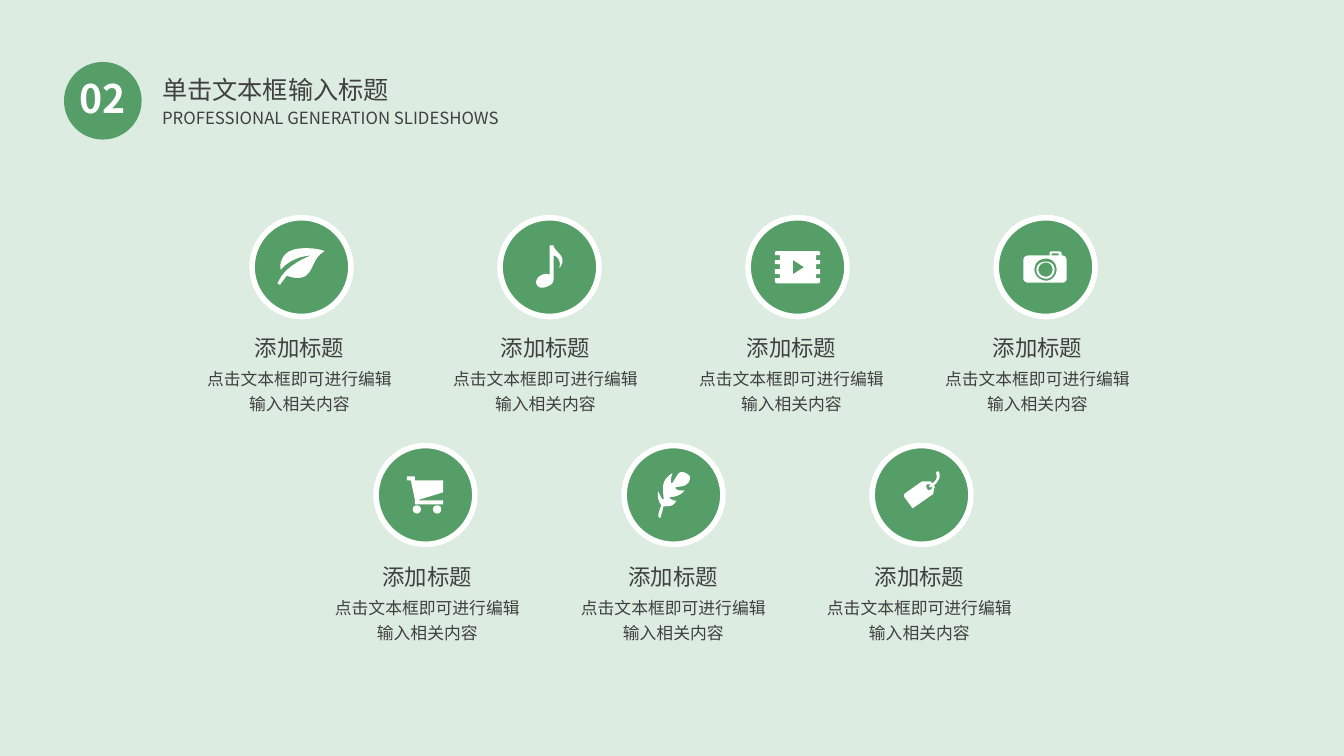
from dataclasses import dataclass
from typing import Iterator

from pptx import Presentation
from pptx.dml.color import RGBColor
from pptx.enum.shapes import MSO_SHAPE
from pptx.enum.text import MSO_AUTO_SIZE, PP_ALIGN
from pptx.oxml.ns import qn
from pptx.slide import Slide
from pptx.util import Inches, Pt


@dataclass(frozen=True)
class Theme:
    background: RGBColor = RGBColor.from_string("DCECE0")
    green: RGBColor = RGBColor.from_string("559E67")
    white: RGBColor = RGBColor.from_string("FFFFFF")
    ink: RGBColor = RGBColor.from_string("404040")
    font: str = "Noto Sans CJK SC"
    number_size: int = 28
    heading_size: int = 18
    caption_size: int = 16
    body_size: int = 12
    ring_width: int = 4


@dataclass(frozen=True)
class Grid:
    left: float
    top: float
    column_step: float
    row_step: float

    def locate(self, column: float, row: int) -> tuple[float, float]:
        return self.left + column * self.column_step, self.top + row * self.row_step


@dataclass(frozen=True)
class Box:
    left: float
    top: float
    width: float
    height: float


@dataclass(frozen=True)
class TextStyle:
    size: int
    color: RGBColor = Theme.ink
    bold: bool = False
    alignment: PP_ALIGN = PP_ALIGN.LEFT
    line_spacing: float | None = None
    wrap: bool = True


@dataclass(frozen=True)
class Icon:
    width: float
    height: float
    outline: str
    lift: float = 0


@dataclass(frozen=True)
class Item:
    column: float
    row: int
    icon: Icon


THEME = Theme()
BADGES = Grid(2.99, 2.65, 2.46, 2.26)
CAPTIONS = Grid(2.97, 3.27, 2.44, 2.27)
BADGE_DIAMETER = 0.98
CURVE_STEPS = 8
CAPTION_STYLE = TextStyle(THEME.caption_size, alignment=PP_ALIGN.CENTER)
BODY_STYLE = TextStyle(THEME.body_size, alignment=PP_ALIGN.CENTER, line_spacing=1.25)

LEAF = Icon(0.47, 0.37, """
    M 11 3 C 2 9 2 18 3 21 C 15 7 33 7 33 7 C 33 7 7 16 0 34 C -1 35 3 37 3 35
    C 6 31 9 27 9 27 C 14 29 22 31 28 27 C 36 21 35 9 46 3 C 49 2 24 -4 11 3""")
NOTE = Icon(0.26, 0.43, """
    M 17 0 L 13 0 L 13 29 C 11 28 9 28 6 29 C 1 31 -1 35 0 38 C 1 42 6 43 10 41
    C 14 40 17 37 17 34 L 17 10 C 23 11 24 19 23 21 C 22 22 23 22 24 21
    C 31 10 17 6 17 0""")
FILM = Icon(0.45, 0.32, """
    M 18 23 L 18 9 L 29 16
    M 45 4 L 45 2 C 45 1 44 0 43 0 L 2 0 C 1 0 0 1 0 2 L 0 4 L 5 4 L 5 9 L 0 9
    L 0 13 L 5 13 L 5 18 L 0 18 L 0 23 L 5 23 L 5 27 L 0 27 L 0 30
    C 0 31 1 32 2 32 L 43 32 C 44 32 45 31 45 30 L 45 27 L 41 27 L 41 23 L 45 23
    L 45 18 L 41 18 L 41 13 L 45 13 L 45 9 L 41 9 L 41 4""")
CAMERA = Icon(0.44, 0.31, """
    M 5 4 L 26 4 L 26 2 C 26 1 26 0 27 0 L 36 0 C 37 0 38 1 38 2 L 38 4 L 39 4
    C 41 4 43 6 43 9 L 43 27 C 43 29 41 31 39 31 L 5 31 C 2 31 0 29 0 27 L 0 9
    C 0 6 2 4 5 4
    M 28 4 L 35 4 L 35 2 L 28 2
    M 23 7 C 16 7 11 11 11 18 C 11 24 16 29 23 29 C 28 29 33 24 33 18
    C 33 11 28 7 23 7
    M 29 18 C 29 14 26 11 23 11 C 18 11 15 14 15 18 C 15 22 18 25 23 25
    C 26 25 29 22 29 18
    M 23 10 C 17 10 13 13 13 18 C 13 23 17 27 23 27 C 27 27 31 23 31 18
    C 31 13 27 10 23 10""")
CART = Icon(0.37, 0.37, """
    M 13 23 L 36 16 L 36 4 L 8 4 L 8 1 C 8 0 7 0 7 0 L 0 0 L 0 4 L 4 4 L 8 23
    L 8 28 L 36 28 L 36 24 L 13 24 C 11 24 11 24 13 23
    M 26 33 C 26 35 28 37 30 37 C 33 37 34 35 34 33 C 34 30 33 29 30 29
    C 28 29 26 30 26 33
    M 6 33 C 6 35 8 37 10 37 C 12 37 14 35 14 33 C 14 30 12 29 10 29
    C 8 29 6 30 6 33""")
FEATHER = Icon(0.32, 0.45, """
    M 3 45 C 4 42 5 39 6 34 C 13 33 15 35 19 28 C 16 29 12 26 12 25
    C 12 24 21 26 27 18 C 20 19 17 16 18 15 C 20 14 27 15 30 11 C 32 10 33 5 32 4
    C 31 2 26 -1 23 0 C 20 0 16 11 14 11 C 13 11 13 6 15 1 C 13 2 8 6 7 9
    C 4 14 7 27 6 27 C 5 28 2 22 1 19 C 0 23 0 27 4 33 C 2 37 1 41 1 43
    C 1 45 3 46 3 45""")
TAG = Icon(0.35, 0.37, """
    M 27 18 C 25 19 23 19 23 17 C 22 16 22 14 23 13 C 24 13 26 13 27 13
    C 26 14 26 14 26 14 C 25 14 25 15 25 15 C 25 16 26 16 26 16 L 27 16
    C 27 16 27 15 28 15 C 28 16 28 17 27 18
    M 35 1 C 34 0 34 0 33 0 C 33 0 32 1 32 2 C 34 7 31 10 28 12 L 27 11
    C 27 10 26 10 26 10 L 18 10 L 1 22 C 0 23 0 24 0 25 L 8 36 C 9 37 9 37 10 36
    L 27 24 C 28 24 28 23 29 23 L 30 17 C 31 16 31 15 30 15 L 30 14
    C 33 11 37 7 35 1""", lift=0.05)

ITEMS = [Item(column, 0, icon) for column, icon in enumerate((LEAF, NOTE, FILM, CAMERA))]
ITEMS += [Item(column + 0.5, 1, icon) for column, icon in enumerate((CART, FEATHER, TAG))]


def contours(outline: str) -> Iterator[list[tuple[int, int]]]:
    for contour in outline.split("M")[1:]:
        points: list[tuple[float, float]] = []
        for segment in contour.replace("L", "|L").replace("C", "|C").split("|"):
            values = [float(value) for value in segment.strip("LC \n").split()]
            pairs = list(zip(values[::2], values[1::2]))
            if segment.startswith("C"):
                start, (first, second, end) = points[-1], pairs
                for step in range(1, CURVE_STEPS + 1):
                    t = step / CURVE_STEPS
                    points.append(tuple(
                        (1 - t) ** 3 * a + 3 * (1 - t) ** 2 * t * b + 3 * (1 - t) * t**2 * c + t**3 * d
                        for a, b, c, d in zip(start, first, second, end)))
            else:
                points += pairs
        yield [(Inches(x / 100), Inches(y / 100)) for x, y in points]


def add_icon(slide: Slide, icon: Icon, center_x: float, center_y: float) -> None:
    first, *others = contours(icon.outline)
    builder = slide.shapes.build_freeform(*first[0])
    builder.add_line_segments(first[1:], close=True)
    for contour in others:
        builder.move_to(*contour[0])
        builder.add_line_segments(contour[1:], close=True)
    shape = builder.convert_to_shape(
        Inches(center_x - icon.width / 2), Inches(center_y - icon.height / 2 - icon.lift))
    shape.shadow.inherit = False
    shape.fill.solid()
    shape.fill.fore_color.rgb = THEME.white
    shape.line.fill.background()


def add_circle(slide: Slide, center_x: float, center_y: float, diameter: float, ringed: bool) -> None:
    shape = slide.shapes.add_shape(
        MSO_SHAPE.OVAL, Inches(center_x - diameter / 2), Inches(center_y - diameter / 2),
        Inches(diameter), Inches(diameter))
    shape.shadow.inherit = False
    shape.fill.solid()
    shape.fill.fore_color.rgb = THEME.green
    if ringed:
        shape.line.color.rgb = THEME.white
        shape.line.width = Pt(THEME.ring_width)
    else:
        shape.line.fill.background()


def add_text(slide: Slide, box: Box, text: str, style: TextStyle) -> None:
    shape = slide.shapes.add_textbox(
        Inches(box.left), Inches(box.top), Inches(box.width), Inches(box.height))
    frame = shape.text_frame
    frame.word_wrap = style.wrap
    frame.auto_size = MSO_AUTO_SIZE.SHAPE_TO_FIT_TEXT
    paragraph = frame.paragraphs[0]
    paragraph.alignment = style.alignment
    if style.line_spacing:
        paragraph.line_spacing = style.line_spacing
    run = paragraph.add_run()
    run.text = text
    run.font.name = THEME.font
    run.font.size = Pt(style.size)
    run.font.bold = style.bold
    run.font.color.rgb = style.color
    east_asian = run.font._element.makeelement(qn("a:ea"), {"typeface": THEME.font})
    run.font._element.find(qn("a:latin")).addnext(east_asian)


def add_header(slide: Slide) -> None:
    add_circle(slide, 1.02, 1, 0.77, ringed=False)
    add_text(slide, Box(0.66, 0.69, 0.72, 0.57), "02",
             TextStyle(THEME.number_size, THEME.white, bold=True, alignment=PP_ALIGN.CENTER))
    add_text(slide, Box(1.51, 0.54, 2.47, 0.56), "单击文本框输入标题",
             TextStyle(THEME.heading_size, line_spacing=1.5, wrap=False))
    add_text(slide, Box(1.51, 1.02, 4.64, 0.3), "PROFESSIONAL GENERATION SLIDESHOWS",
             TextStyle(THEME.body_size))


def add_item(slide: Slide, item: Item) -> None:
    center = BADGES.locate(item.column, item.row)
    add_circle(slide, *center, BADGE_DIAMETER, ringed=True)
    add_icon(slide, item.icon, *center)
    middle, top = CAPTIONS.locate(item.column + 0.02 * item.row, item.row)
    add_text(slide, Box(middle - 1.02, top + 0.29, 2.04, 0.61), "点击文本框即可进行编辑输入相关内容", BODY_STYLE)
    add_text(slide, Box(middle - 1.22, top, 2.44, 0.37), "添加标题", CAPTION_STYLE)


def main() -> None:
    presentation = Presentation()
    presentation.slide_width = Inches(13.33)
    presentation.slide_height = Inches(7.5)
    slide = presentation.slides.add_slide(presentation.slide_layouts[6])
    slide.background.fill.solid()
    slide.background.fill.fore_color.rgb = THEME.background
    add_header(slide)
    for item in ITEMS:
        add_item(slide, item)
    presentation.save("out.pptx")


if __name__ == "__main__":
    main()
